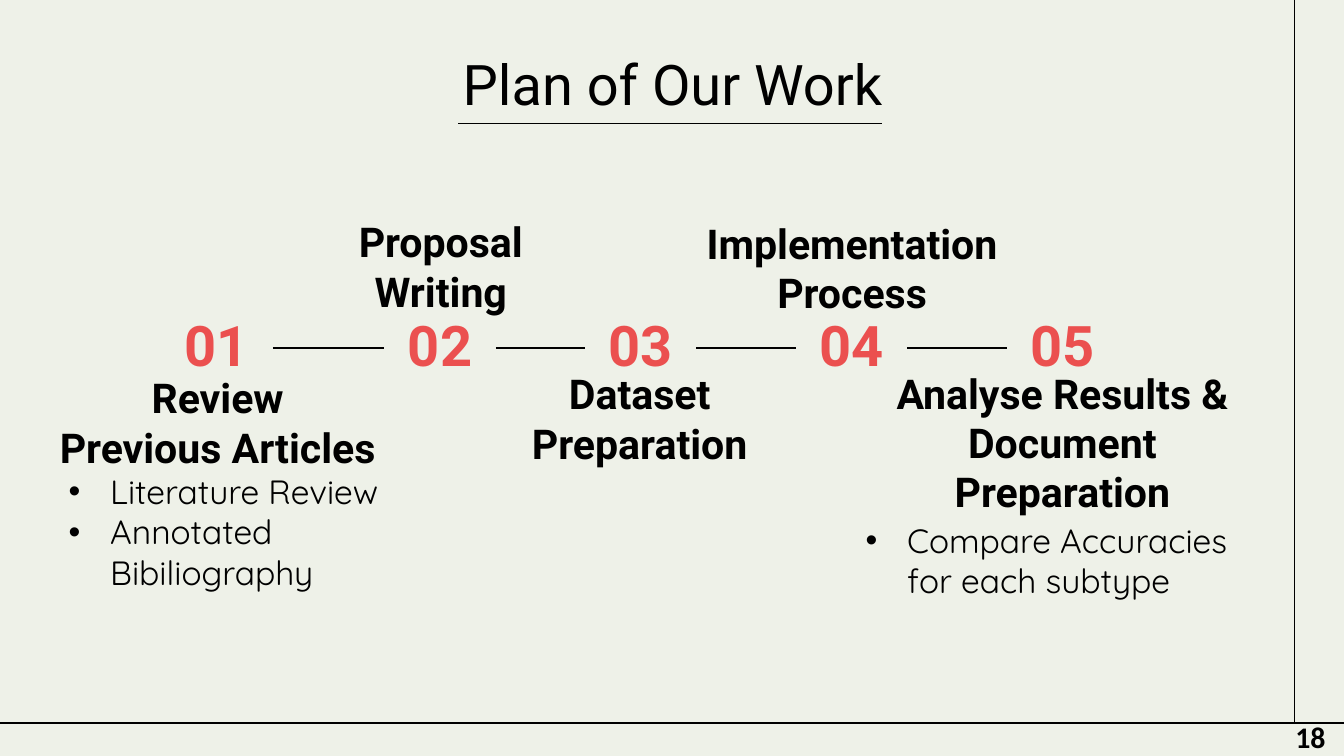
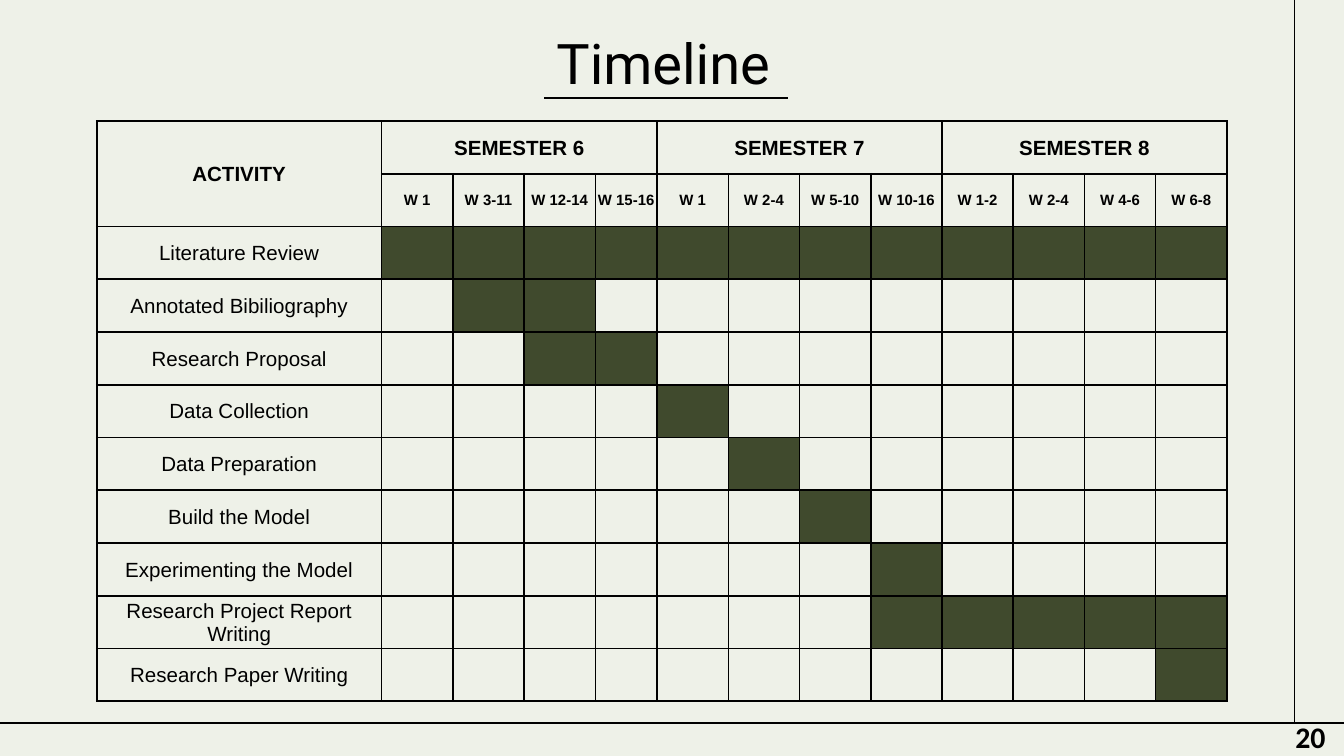
"""Build the work plan and timeline slides."""
from dataclasses import dataclass
from itertools import pairwise

from lxml import etree
from pptx import Presentation
from pptx.dml.color import RGBColor
from pptx.enum.shapes import MSO_CONNECTOR
from pptx.enum.text import MSO_ANCHOR, MSO_AUTO_SIZE, PP_ALIGN
from pptx.oxml.ns import qn
from pptx.util import Inches, Pt

LEFT, CENTER = PP_ALIGN.LEFT, PP_ALIGN.CENTER
TOP, MIDDLE, BOTTOM = MSO_ANCHOR.TOP, MSO_ANCHOR.MIDDLE, MSO_ANCHOR.BOTTOM
NO_FIT, GROW = MSO_AUTO_SIZE.NONE, MSO_AUTO_SIZE.SHAPE_TO_FIT_TEXT
STRAIGHT = MSO_CONNECTOR.STRAIGHT

Box = tuple[float, float, float, float]


@dataclass(frozen=True)
class Style:
    font: str
    size: float
    color: str = "000000"
    bold: bool = False


@dataclass(frozen=True)
class Theme:
    background: str = "EEF1E8"
    ink: str = "000000"
    bar: str = "404A2D"
    rule: float = 0.75
    grid: float = 1
    title: Style = Style("Roboto", 30)
    number: Style = Style("Roboto", 30, "EB504F", True)
    step: Style = Style("Roboto", 22, bold=True)
    bullet: Style = Style("Quicksand", 18)
    page: Style = Style("Calibri", 16, bold=True)
    head: Style = Style("Arial", 11, bold=True)
    week: Style = Style("Arial", 8, bold=True)
    activity: Style = Style("Arial", 11)


@dataclass(frozen=True)
class Step:
    x: float
    box: Box
    lines: tuple[str, ...]


@dataclass(frozen=True)
class BulletList:
    box: Box
    items: tuple[str, ...]


@dataclass(frozen=True)
class Activity:
    name: str
    first: int
    last: int


THEME = Theme()
NUMBER_TOP, NUMBER_W, NUMBER_H, LINK_Y = 2.28, 0.83, 0.63, 2.59

STEPS = (
    Step(1.2, (0.2, 2.93, 2.84, 0.42), ("Review", "Previous Articles")),
    Step(2.86, (2.21, 1.77, 2.14, 0.42), ("Proposal Writing",)),
    Step(4.35, (3.69, 2.9, 2.14, 0.42), ("Dataset", "Preparation")),
    Step(5.92, (4.93, 1.78, 2.82, 0.42), ("Implementation Process",)),
    Step(7.49, (6.56, 3.08, 2.69, 0.42), ("Analyse Results & Document Preparation",)),
)
LISTS = (
    BulletList((0.41, 3.48, 2.7, 0.95), ("Literature Review", "Annotated Bibiliography")),
    BulletList((6.34, 3.69, 2.97, 0.95), ("Compare Accuracies for each subtype",)),
)
SEMESTERS = {
    "SEMESTER 6": ("W 1", "W 3-11", "W 12-14", "W 15-16"),
    "SEMESTER 7": ("W 1", "W 2-4", "W 5-10", "W 10-16"),
    "SEMESTER 8": ("W 1-2", "W 2-4", "W 4-6", "W 6-8"),
}
ACTIVITIES = (
    Activity("Literature Review", 1, 12),
    Activity("Annotated Bibiliography", 2, 3),
    Activity("Research Proposal", 3, 4),
    Activity("Data Collection", 5, 5),
    Activity("Data Preparation", 6, 6),
    Activity("Build the Model", 7, 7),
    Activity("Experimenting the Model", 8, 8),
    Activity("Research Project Report Writing", 8, 12),
    Activity("Research Paper Writing", 12, 12),
)


def rgb(color: str) -> RGBColor:
    return RGBColor.from_string(color)


def add_run(p, text: str, style: Style) -> None:
    r = p.add_run()
    r.text = text
    r.font.name, r.font.size, r.font.bold = style.font, Pt(style.size), style.bold
    r.font.color.rgb = rgb(style.color)


def add_bullet(p) -> None:
    pPr = p._p.get_or_add_pPr()
    pPr.set("marL", str(Inches(0.31)))
    pPr.set("indent", str(-Inches(0.31)))
    color = etree.SubElement(pPr, qn("a:buClr"))
    etree.SubElement(color, qn("a:srgbClr"), val=THEME.ink)
    etree.SubElement(pPr, qn("a:buFont"), typeface="Arial")
    etree.SubElement(pPr, qn("a:buChar"), char="•")


def fill_text(tf, lines: tuple[str, ...], style: Style, align=CENTER,
              bullets: bool = False) -> None:
    for i, line in enumerate(lines):
        p = tf.add_paragraph() if i else tf.paragraphs[0]
        if bullets:
            add_bullet(p)
        p.alignment, p.space_before = align, Pt(0)
        add_run(p, line, style)


def set_frame(sp, box: Box, anchor, inset: float = 0.1):
    sp.left, sp.top, sp.width, sp.height = map(Inches, box)
    tf = sp.text_frame
    tf.word_wrap, tf.auto_size, tf.vertical_anchor = True, NO_FIT, anchor
    tf.margin_left = tf.margin_right = Inches(0.1)
    tf.margin_top = tf.margin_bottom = Inches(inset)
    return tf


def add_text(slide, box: Box, lines: tuple[str, ...], style: Style, anchor) -> None:
    sp = slide.shapes.add_textbox(*map(Inches, box))
    fill_text(set_frame(sp, box, anchor), lines, style)


def add_rule(slide, x1: float, y1: float, x2: float, y2: float) -> None:
    line = slide.shapes.add_connector(STRAIGHT, *map(Inches, (x1, y1, x2, y2)))
    line.line.color.rgb = rgb(THEME.ink)
    line.line.width = Pt(THEME.rule)
    etree.SubElement(line._element.spPr, qn("a:effectLst"))


def add_slide(prs, layout: int, title: str, box: Box, underline: Box, page: str):
    slide = prs.slides.add_slide(prs.slide_layouts[layout])
    add_rule(slide, 9.63, -0.01, 9.63, 5.38)
    add_rule(slide, 0, 5.38, 10.06, 5.38)
    add_rule(slide, *underline)
    fill_text(set_frame(slide.shapes.title, box, TOP), (title,), THEME.title)
    page_box = (9.54, 5.3, 0.46, 0.37)
    sp = slide.shapes.add_textbox(*map(Inches, page_box))
    tf = set_frame(sp, page_box, TOP, 0.05)
    tf.auto_size = GROW
    fill_text(tf, (page,), THEME.page, LEFT)
    return slide


def build_plan(prs) -> None:
    slide = add_slide(prs, 3, "Plan of Our Work", (0.79, 0.27, 8.43, 0.63),
                      (3.41, 0.92, 6.56, 0.92), "18")
    for i, step in enumerate(STEPS, 1):
        add_text(slide, (step.x, NUMBER_TOP, NUMBER_W, NUMBER_H), (f"{i:02}",),
                 THEME.number, BOTTOM)
        add_text(slide, step.box, step.lines, THEME.step, MIDDLE)
    for a, b in pairwise(STEPS):
        add_rule(slide, a.x + NUMBER_W, LINK_Y, b.x, LINK_Y)
    for idx, item in enumerate(LISTS, 1):
        tf = set_frame(slide.placeholders[idx], item.box, MIDDLE)
        fill_text(tf, item.items, THEME.bullet, LEFT, bullets=True)


def format_cell(cell, filled: bool) -> None:
    cell.margin_left = cell.margin_top = cell.margin_right = Inches(0.01)
    cell.margin_bottom = 0
    cell.vertical_anchor = MIDDLE
    tcPr = cell._tc.get_or_add_tcPr()
    for side in ("lnL", "lnR", "lnT", "lnB"):
        ln = etree.SubElement(tcPr, qn(f"a:{side}"), w=str(Pt(THEME.grid)))
        solid = etree.SubElement(ln, qn("a:solidFill"))
        etree.SubElement(solid, qn("a:srgbClr"), val=THEME.ink)
    if filled:
        cell.fill.solid()
        cell.fill.fore_color.rgb = rgb(THEME.bar)
    else:
        cell.fill.background()


def build_timeline(prs) -> None:
    slide = add_slide(prs, 5, "Timeline", (0.72, 0.11, 8.43, 0.63),
                      (4.05, 0.73, 5.86, 0.73), "20")
    widths = [2.12] + [0.53] * 12
    widths[4] = 0.46
    n_rows = len(ACTIVITIES) + 2
    table = slide.shapes.add_table(n_rows, len(widths), *map(
        Inches, (0.72, 0.9, sum(widths), 4.32))).table
    table.first_row = table.horz_banding = False
    for col, width in zip(table.columns, widths):
        col.width = Inches(width)
    for row in table.rows:
        row.height = Inches(4.32 / n_rows)

    for r in range(n_rows):
        for c in range(len(widths)):
            filled = r > 1 and ACTIVITIES[r - 2].first <= c <= ACTIVITIES[r - 2].last
            format_cell(table.cell(r, c), filled)

    def write(r: int, c: int, text: str, style: Style) -> None:
        fill_text(table.cell(r, c).text_frame, (text,), style)

    table.cell(0, 0).merge(table.cell(1, 0))
    write(0, 0, "ACTIVITY", THEME.head)
    col = 1
    for name, weeks in SEMESTERS.items():
        table.cell(0, col).merge(table.cell(0, col + len(weeks) - 1))
        write(0, col, name, THEME.head)
        for c, week in enumerate(weeks, col):
            write(1, c, week, THEME.week)
        col += len(weeks)
    for r, activity in enumerate(ACTIVITIES, 2):
        write(r, 0, activity.name, THEME.activity)


def main() -> None:
    prs = Presentation()
    prs.slide_width = Inches(10)
    prs.slide_height = prs.slide_width * 9 // 16
    fill = prs.slide_master.background.fill
    fill.solid()
    fill.fore_color.rgb = rgb(THEME.background)
    build_plan(prs)
    build_timeline(prs)
    prs.save("out.pptx")


if __name__ == "__main__":
    main()
